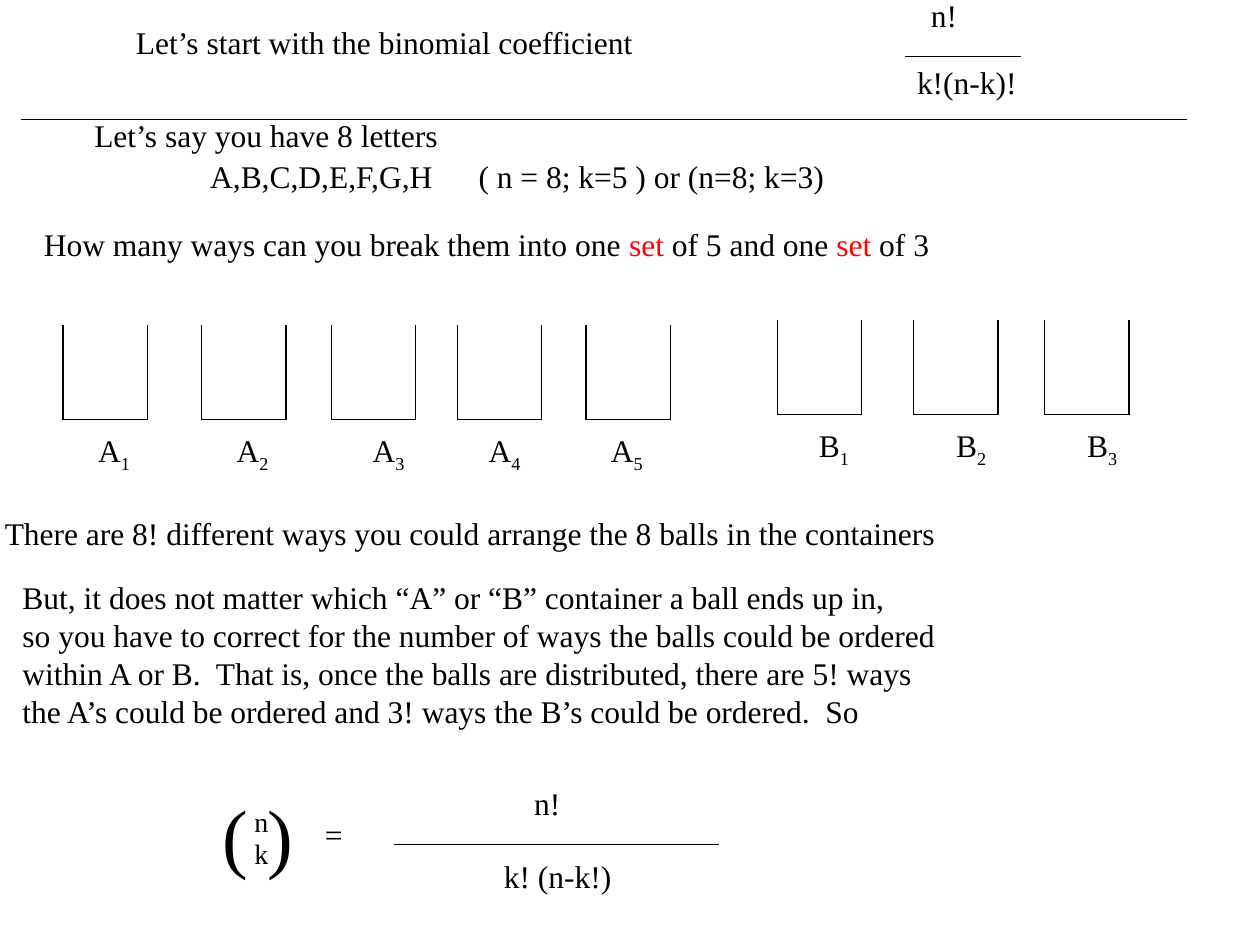
from lxml import etree
from pptx import Presentation
from pptx.dml.color import RGBColor
from pptx.enum.shapes import MSO_CONNECTOR
from pptx.enum.text import MSO_AUTO_SIZE
from pptx.oxml.ns import qn
from pptx.util import Inches, Pt

STRAIGHT = MSO_CONNECTOR.STRAIGHT
GROW = MSO_AUTO_SIZE.SHAPE_TO_FIT_TEXT

THEME = {
    "font": "Times New Roman",
    "ink": RGBColor(0, 0, 0),
    "accent": RGBColor(0xFF, 0, 0),
    "body": 18,
    "stacked": 16,
    "bracket": 44,
    "rule": 0.75,
}

# Statements: (left, top, width, height, lines); a line is a list of (words, style)
STATEMENTS = [
    (0.98, 0.13, 5.48, 0.5, [[("Let’s start with the binomial coefficient", "plain")]]),
    (0.65, 0.87, 3.85, 0.5, [[("Let’s say you have 8 letters", "plain")]]),
    (1.57, 1.2, 2.1, 0.51, [[("A,B,C,D,E,F,G,H", "plain")]]),
    (3.7, 1.2, 4.73, 0.51, [[("( n = 8; k=5 ) or (n=8; k=3)", "plain")]]),
    (0.25, 1.74, 9.56, 0.51, [[
        ("How many ways can you break them into one ", "plain"), ("set", "accent"),
        (" of 5 and one ", "plain"), ("set", "accent"), (" of 3", "plain")]]),
    (-0.06, 4.03, 10.14, 0.51, [[
        ("There are 8! different ways you could arrange the 8 balls in the containers", "plain")]]),
    (0.08, 4.54, 9.95, 1.72, [
        [("But, it does not matter which “A” or “B” container a ball ends up in,", "plain")],
        [("so you have to correct for the number of ways the balls could be ordered", "plain")],
        [("within A or B.  That is, once the balls are distributed, there are 5! ways", "plain")],
        [("the A’s could be ordered and 3! ways the B’s could be ordered.  So", "plain")]]),
    (2.48, 6.42, 0.39, 0.5, [[("=", "plain")]]),
]

# Fractions: numerator box, bar (left, right, y), denominator box
FRACTIONS = [
    (("n!", 7.29, -0.08, 0.69, 0.5), (7.18, 8.1, 0.45), ("k!(n-k)!", 7.18, 0.45, 1.26, 0.5)),
    (("n!", 4.14, 6.17, 0.51, 0.51), (3.13, 5.71, 6.7), ("k! (n-k!)", 3.9, 6.75, 1.35, 0.51)),
]

DIVIDER = (0.17, 9.42, 0.95)

# Binomial symbol: (words, size, left, top, width, height)
BINOMIAL = [
    ("( )", "bracket", 1.67, 6.2, 0.76, 0.83),
    ("n", "stacked", 1.92, 6.34, 0.31, 0.37),
    ("k", "stacked", 1.92, 6.59, 0.31, 0.37),
]

# Containers: letter, top, then (container left, label left) for each
CONTAINERS = [
    ("A", 2.58, [(0.5, 0.68), (1.6, 1.78), (2.63, 2.86), (3.63, 3.78), (4.65, 4.75)]),
    ("B", 2.54, [(6.17, 6.4), (7.25, 7.49), (8.29, 8.53)]),
]
CONTAINER_W, CONTAINER_H = 0.67, 0.75
LABEL_GAP, LABEL_W, LABEL_H = 0.04, 0.56, 0.51


def add_text(shapes, left, top, width, height, lines, size="body"):
    box = shapes.add_textbox(Inches(left), Inches(top), Inches(width), Inches(height))
    frame = box.text_frame
    frame.word_wrap = False
    frame.auto_size = GROW
    for index, line in enumerate(lines):
        paragraph = frame.paragraphs[0] if index == 0 else frame.add_paragraph()
        for words, style in line:
            run = paragraph.add_run()
            run.text = words
            for name, value in {"name": THEME["font"], "size": Pt(THEME[size])}.items():
                setattr(run.font, name, value)
            run.font.color.rgb = THEME["accent" if style == "accent" else "ink"]
            if style == "subscript":
                run.font._element.set("baseline", "-25000")


def add_rule(shapes, start, end):
    rule = shapes.add_connector(STRAIGHT, *(Inches(v) for v in (*start, *end)))
    rule.line.color.rgb = THEME["ink"]
    rule.line.width = Pt(THEME["rule"])
    etree.SubElement(rule._element.spPr, qn("a:effectLst"))


def add_container(shapes, letter, number, left, top, label_left):
    """Draw one open-topped container with its subscripted label below."""
    group = shapes.add_group_shape().shapes
    right, bottom = left + CONTAINER_W, top + CONTAINER_H
    corners = [(left, top), (left, bottom), (right, bottom), (right, top)]
    for start, end in zip(corners, corners[1:]):
        add_rule(group, start, end)
    label = [(letter, "plain"), (str(number), "subscript")]
    add_text(group, label_left, bottom + LABEL_GAP, LABEL_W, LABEL_H, [label])


def main():
    deck = Presentation()
    deck.slide_width, deck.slide_height = Inches(10), Inches(7.5)
    shapes = deck.slides.add_slide(deck.slide_layouts[6]).shapes

    for *place, lines in STATEMENTS:
        add_text(shapes, *place, lines)

    for numerator, bar, denominator in FRACTIONS:
        for words, *place in (numerator, denominator):
            add_text(shapes, *place, [[(words, "plain")]])
        left, right, y = bar
        add_rule(shapes, (left, y), (right, y))

    left, right, y = DIVIDER
    add_rule(shapes, (left, y), (right, y))

    for letter, top, places in CONTAINERS:
        for number, (left, label_left) in enumerate(places, 1):
            add_container(shapes, letter, number, left, top, label_left)

    symbol = shapes.add_group_shape().shapes
    for words, size, *place in BINOMIAL:
        add_text(symbol, *place, [[(words, "plain")]], size)

    deck.save("out.pptx")


if __name__ == "__main__":
    main()
